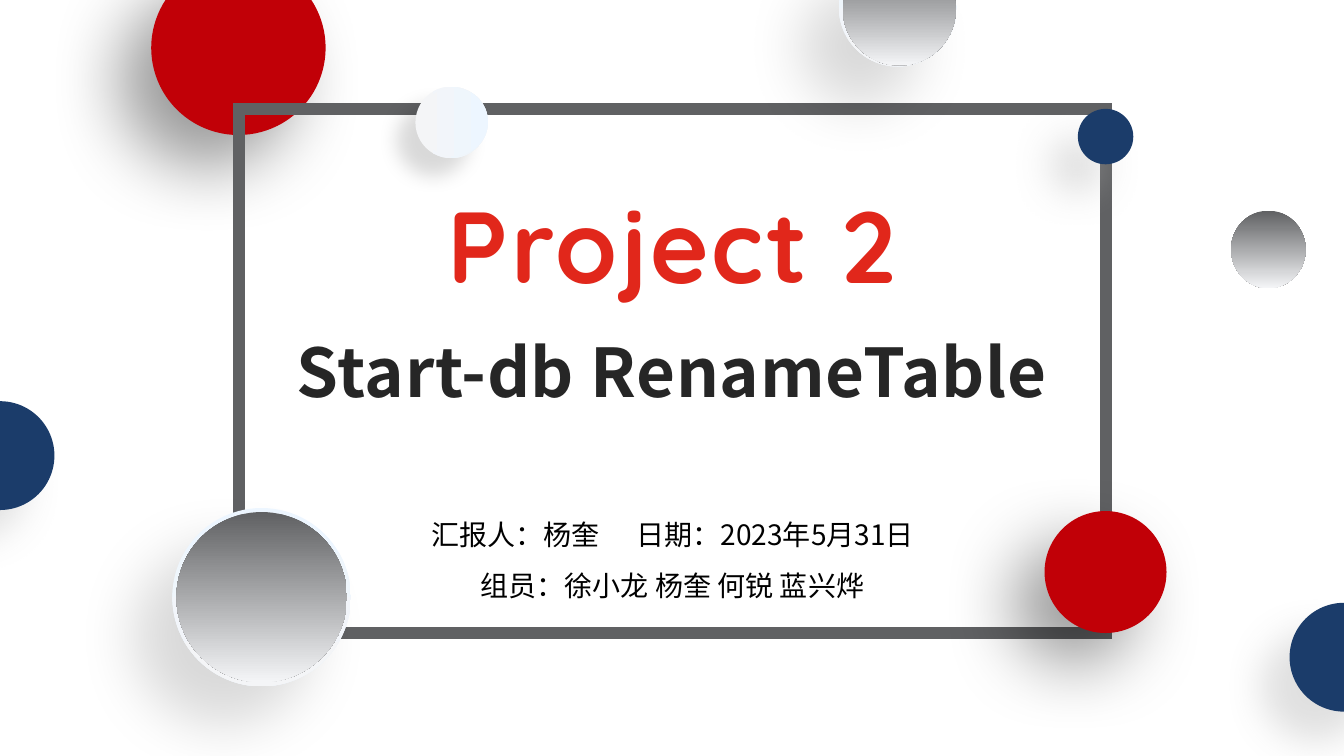
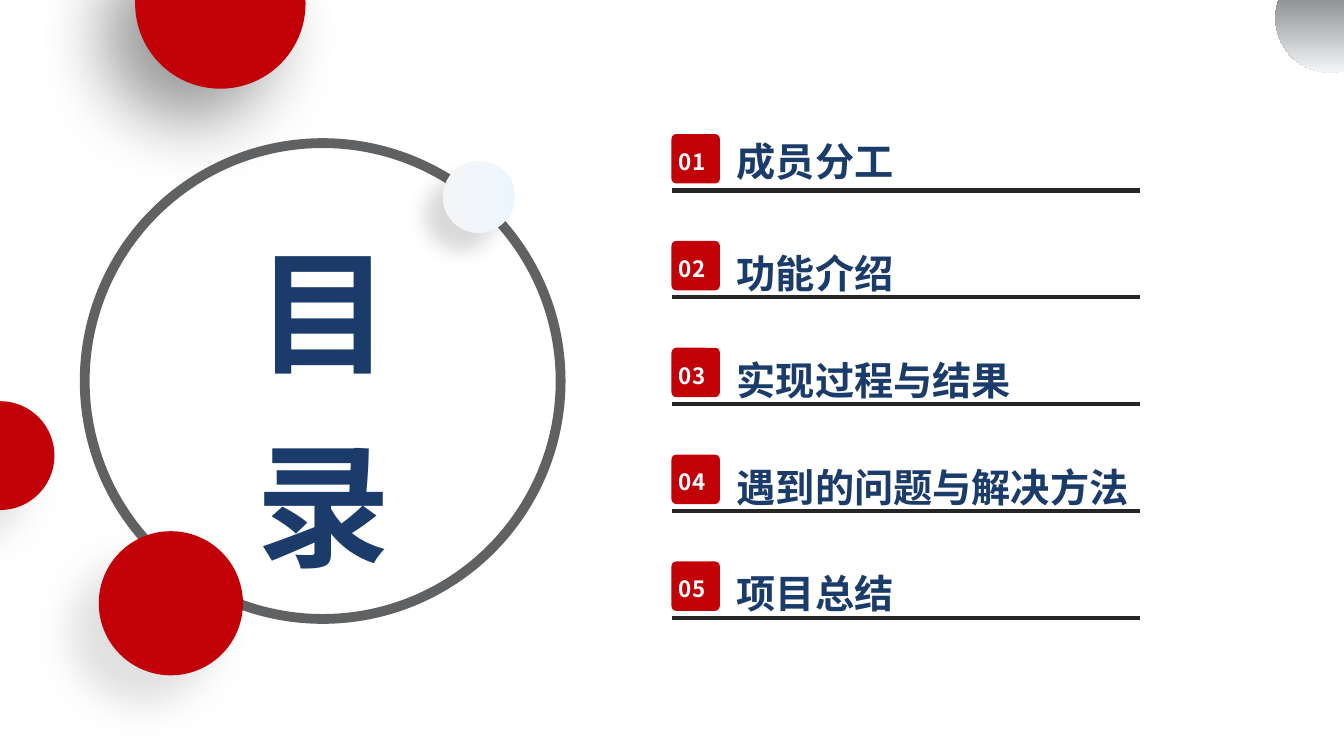
from dataclasses import dataclass
from typing import Optional

from lxml import etree
from pptx import Presentation
from pptx.dml.color import RGBColor
from pptx.enum.shapes import MSO_CONNECTOR, MSO_SHAPE
from pptx.enum.text import MSO_ANCHOR, PP_ALIGN
from pptx.oxml.ns import qn
from pptx.util import Inches, Pt

OVAL = MSO_SHAPE.OVAL
RECTANGLE = MSO_SHAPE.RECTANGLE
ROUNDED = MSO_SHAPE.ROUNDED_RECTANGLE
STRAIGHT = MSO_CONNECTOR.STRAIGHT
LEFT, CENTER = PP_ALIGN.LEFT, PP_ALIGN.CENTER
MIDDLE = MSO_ANCHOR.MIDDLE

SANS, ROUND_FONT = "Noto Sans CJK SC", "Quicksand"
WHITE, BLACK, INK = "FFFFFF", "000000", "262626"
RED, TITLE_RED, NAVY, GREY = "C10007", "E1271B", "1B3C6A", "606163"
MIST, ICE = "F4F5F7", "EDF6FF"


@dataclass(frozen=True)
class Shadow:
    """Soft shadow towards the lower left; blur and distance in points."""
    color: str
    alpha: int
    blur: int
    distance: int


@dataclass(frozen=True)
class Paint:
    """One colour, or two for a gradient; angle counts anticlockwise."""
    colors: tuple[str, ...]
    angle: int = 270


@dataclass(frozen=True)
class Disc:
    left: float
    top: float
    size: float
    paint: Paint
    shadow: Optional[Shadow] = None
    height: Optional[float] = None


@dataclass(frozen=True)
class Run:
    text: str
    size: float
    color: str
    bold: bool = False
    font: str = SANS
    spacing: float = 0


@dataclass(frozen=True)
class Topic:
    text: str
    rise: float = 0.06  # how far the heading box starts above its badge


DEEP = Shadow(BLACK, 40, 52, 32)
WIDE = Shadow(BLACK, 14, 42, 39)
SMALL = Shadow(BLACK, 14, 14, 18)
PALE = Shadow("B4B4B4", 40, 27, 29)
RED_PAINT, NAVY_PAINT = Paint((RED,)), Paint((NAVY,))
STEEL, HALO = Paint((GREY, MIST)), Paint((ICE, MIST))
PEARL = Paint((MIST, ICE), 0)


def rgb(value: str) -> RGBColor:
    return RGBColor.from_string(value)


def add_slide(deck):
    slide = deck.slides.add_slide(deck.slide_layouts[6])
    slide.background.fill.solid()
    slide.background.fill.fore_color.rgb = rgb(WHITE)
    return slide


def add_plain(slide, kind, left: float, top: float, width: float, height: float):
    shape = slide.shapes.add_shape(
        kind, Inches(left), Inches(top), Inches(width), Inches(height))
    shape.shadow.inherit = False
    return shape


def apply_paint(shape, paint: Paint) -> None:
    shape.line.fill.background()
    if len(paint.colors) == 1:
        shape.fill.solid()
        shape.fill.fore_color.rgb = rgb(paint.colors[0])
        return
    shape.fill.gradient()
    shape.fill.gradient_angle = paint.angle
    for stop, color in zip(shape.fill.gradient_stops, paint.colors):
        stop.color.rgb = rgb(color)


def apply_shadow(shape, shadow: Shadow) -> None:
    effects = shape._element.spPr.find(qn("a:effectLst"))
    outer = etree.SubElement(
        effects, qn("a:outerShdw"), blurRad=str(Pt(shadow.blur)),
        dist=str(Pt(shadow.distance)), dir=str(135 * 60000), algn="tr",
        rotWithShape="0")
    tint = etree.SubElement(outer, qn("a:srgbClr"), val=shadow.color)
    etree.SubElement(tint, qn("a:alpha"), val=str(shadow.alpha * 1000))


def add_discs(slide, discs: list[Disc]) -> None:
    for disc in discs:
        shape = add_plain(slide, OVAL, disc.left, disc.top, disc.size,
                          disc.height or disc.size)
        apply_paint(shape, disc.paint)
        if disc.shadow:
            apply_shadow(shape, disc.shadow)


def rimmed_disc(left: float, top: float, size: float, inner: float) -> list[Disc]:
    """Steel disc inside a pale rim."""
    return [Disc(left, top, size, HALO, WIDE),
            Disc(left + 0.04, top + 0.04, inner, STEEL)]


def pearl(left: float, top: float) -> list[Disc]:
    return [Disc(left, top, 0.71, PEARL, SMALL),
            Disc(left + 0.04, top + 0.01, 0.68, PEARL)]


def add_outline(slide, kind, left: float, top: float, width: float,
                height: float, weight: float) -> None:
    shape = add_plain(slide, kind, left, top, width, height)
    shape.fill.background()
    shape.line.color.rgb = rgb(GREY)
    shape.line.width = Pt(weight)
    etree.SubElement(shape.line._ln, qn("a:miter"), lim="800000")


def fill_text(frame, lines: list[list[Run]], align=LEFT, leading: float = 1.2) -> None:
    frame.word_wrap = True
    for index, runs in enumerate(lines):
        paragraph = frame.add_paragraph() if index else frame.paragraphs[0]
        paragraph.alignment = align
        paragraph.line_spacing = leading
        for item in runs:
            run = paragraph.add_run()
            run.text = item.text
            run.font.size = Pt(item.size)
            run.font.bold = item.bold
            run.font.color.rgb = rgb(item.color)
            run.font.name = item.font
            properties = run.font._element
            etree.SubElement(properties, qn("a:ea"), typeface=item.font)
            if item.spacing:
                properties.set("spc", str(int(item.spacing * 100)))


def add_text(slide, left: float, top: float, width: float, height: float,
             lines: list[list[Run]], align=LEFT, leading: float = 1.2) -> None:
    box = slide.shapes.add_textbox(
        Inches(left), Inches(top), Inches(width), Inches(height))
    fill_text(box.text_frame, lines, align, leading)


def add_badge(slide, left: float, top: float, label: str) -> None:
    badge = add_plain(slide, ROUNDED, left, top, 0.48, 0.49)
    badge.adjustments[0] = 0.1
    apply_paint(badge, RED_PAINT)
    frame = badge.text_frame
    frame.margin_left = frame.margin_right = Inches(0.06)
    frame.margin_top = frame.margin_bottom = Inches(0.03)
    frame.vertical_anchor = MIDDLE
    fill_text(frame, [[Run(label, 16, WHITE, True)]])


def add_rule(slide, left: float, right: float, y: float) -> None:
    rule = slide.shapes.add_connector(
        STRAIGHT, Inches(left), Inches(y), Inches(right), Inches(y))
    rule.line.color.rgb = rgb(INK)
    rule.line.width = Pt(3)
    etree.SubElement(rule._element.spPr, qn("a:effectLst"))


def build_cover(deck) -> None:
    slide = add_slide(deck)
    add_discs(slide, [Disc(1.5, -0.39, 1.73, RED_PAINT, DEEP)])
    add_outline(slide, RECTANGLE, 2.37, 1.08, 8.6, 5.2, 8.25)

    # Title and subtitle
    add_text(slide, 2.59, 1.52, 8.15, 1.55,
             [[Run("Project 2", 72, TITLE_RED, True, ROUND_FONT, 2)]], CENTER)
    add_text(slide, 2.59, 3.07, 8.15, 1.07,
             [[Run("Start-db RenameTable", 48, INK, True, spacing=0.5)]], CENTER)

    # Discs around the frame
    add_discs(slide, [
        *rimmed_disc(1.71, 5.04, 1.77, 1.69),
        *pearl(4.12, 0.86),
        Disc(10.69, 1.08, 0.55, NAVY_PAINT, PALE),
        Disc(-0.54, 3.98, 1.08, NAVY_PAINT, PALE),
        Disc(12.79, 5.98, 1.08, NAVY_PAINT, PALE),
        *rimmed_disc(8.32, -0.51, 1.17, 1.12),
        Disc(12.21, 2.09, 0.74, STEEL, height=0.77),
        Disc(10.36, 5.07, 1.21, RED_PAINT, DEEP),
    ])

    # Presenter, date and members; the wide space separates the first two
    add_text(slide, 3.82, 4.92, 5.7, 1.05, [
        [Run("汇报人：杨奎", 20, BLACK),
         Run(" ", 20, BLACK, spacing=22),
         Run("日期：2023年5月31日", 20, BLACK)],
        [Run("组员：徐小龙 杨奎 何锐 蓝兴烨", 20, BLACK)],
    ], CENTER, 1.5)


def build_contents(deck) -> None:
    slide = add_slide(deck)

    # Ring with the heading
    add_discs(slide, [Disc(1.34, -0.81, 1.69, RED_PAINT, DEEP)])
    add_outline(slide, OVAL, 0.84, 1.42, 4.72, 4.72, 7)
    add_text(slide, 2.41, 1.9, 1.6, 3.98,
             [[Run("目录", 96, NAVY, True, spacing=0.5)]], CENTER)
    add_discs(slide, [
        *pearl(4.39, 1.6),
        Disc(-0.54, 3.98, 1.08, RED_PAINT, PALE),
        Disc(12.65, -0.36, 1.08, STEEL),
        Disc(0.98, 5.27, 1.43, RED_PAINT, PALE),
    ])

    # Numbered topics
    topics = [Topic("成员分工", 0.11), Topic("功能介绍"), Topic("实现过程与结果"),
              Topic("遇到的问题与解决方法"), Topic("项目总结")]
    for index, topic in enumerate(topics):
        top = 1.33 + 1.06 * index
        add_text(slide, 7.21, top - topic.rise, 4.3, 0.66,
                 [[Run(topic.text, 28, NAVY, True)]])
        add_badge(slide, 6.66, top, f"{index + 1:02}")
        add_rule(slide, 6.67, 11.31, top + 0.56)


def main() -> None:
    deck = Presentation()
    deck.slide_width, deck.slide_height = Inches(13.33), Inches(7.5)
    build_cover(deck)
    build_contents(deck)
    deck.save("out.pptx")


if __name__ == "__main__":
    main()
